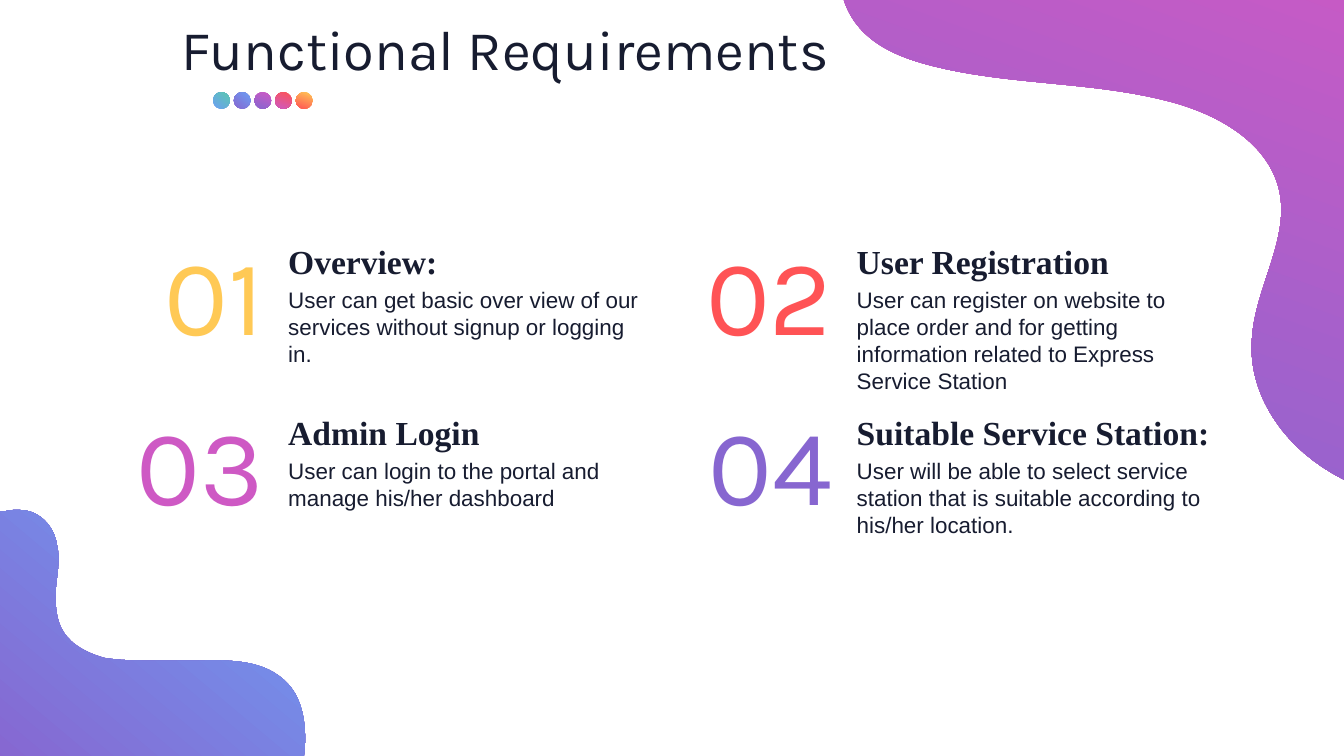
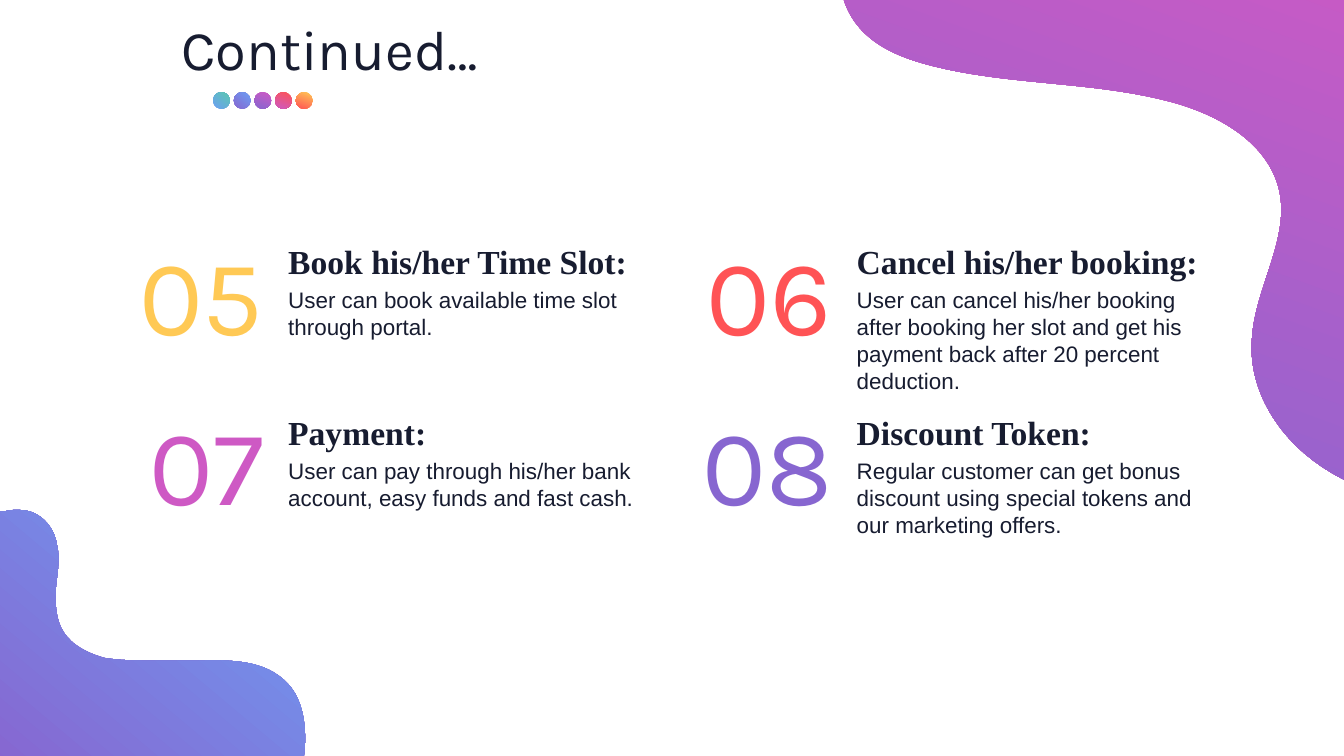
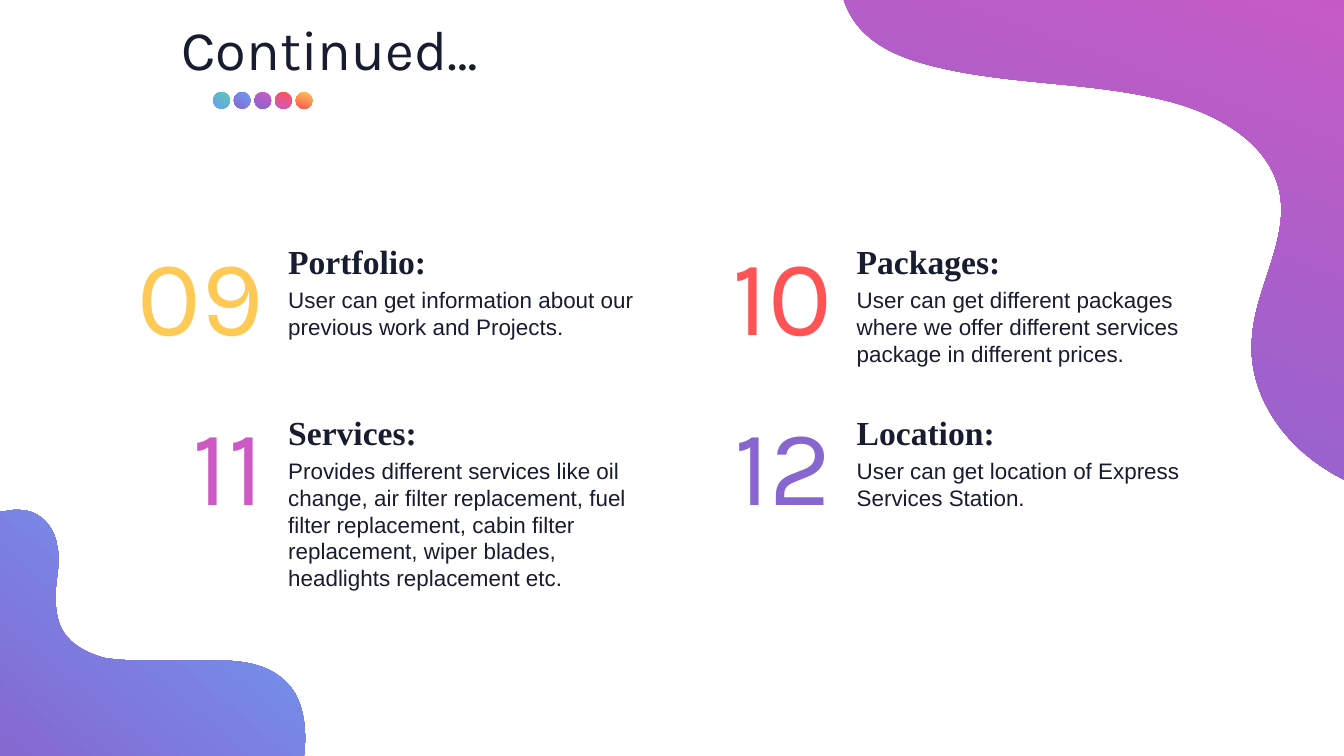
from math import ceil
from lxml.etree import SubElement
from pptx import Presentation
from pptx.dml.color import RGBColor
from pptx.enum.shapes import MSO_SHAPE as SHAPE
from pptx.enum.text import MSO_ANCHOR as ANCHOR, MSO_AUTO_SIZE as AUTO, PP_ALIGN as ALIGN
from pptx.oxml.ns import qn
from pptx.util import Inches, Pt

SLIDE_W, SLIDE_H = 20, 11.25
INK = "171C30"
GOLD, RED, PINK, PURPLE, BLUE, TEAL = "FFC955", "FF5355", "CE59C4", "8766D0", "6C9FF4", "5BC9B0"
WARM, UPWARD = 110, 310

DOT_GRADIENTS = [
    (BLUE, TEAL, UPWARD), (PURPLE, BLUE, UPWARD), (PINK, PURPLE, WARM),
    (RED, PINK, WARM), (GOLD, RED, WARM),
]
NUMBER_GRADIENTS = [
    (GOLD, RED, WARM), (RED, PINK, WARM), (PINK, PURPLE, WARM), (PURPLE, BLUE, UPWARD),
]

COLUMNS, COL_PITCH = 2, 8.46
NUMBER_LEFT, NUMBER_TOP, NUMBER_PITCH = 1.73, 3.34, 2.53
NUMBER_W, NUMBER_H = 2.29, 2.04
TEXT_LEFT, TEXT_TOP, TEXT_PITCH, TEXT_W = 4.19, 3.54, 2.54, 5.62
HEADING_H, BODY_DY = 0.71, 0.67
BODY_LINE_H, CHARS_PER_LINE, INSETS = 0.4, 35, 0.1
DOT_FIRST, DOT_LAST, DOT_TOP, DOT_SIZE = 3.17, 4.4, 1.37, 0.25

TOP_BLOB = {
    "start": (12.54, -0.83),
    "curves": [
        ((12.45, -0.44), (12.48, -0.02), (12.71, 0.31)),
        ((12.97, 0.69), (13.43, 0.87), (13.87, 0.98)),
        ((15.01, 1.27), (16.22, 1.21), (17.36, 1.5)),
        ((18.08, 1.68), (18.85, 2.09), (19.03, 2.81)),
        ((19.21, 3.54), (18.67, 4.28), (18.63, 5.05)),
        ((18.58, 5.72), (18.93, 6.35), (19.45, 6.78)),
        ((19.96, 7.2), (20.61, 7.43), (21.26, 7.5)),
        ((21.38, 7.51), (21.49, 7.51), (21.6, 7.51)),
        ((21.6, -0.83), (21.6, -0.83), (21.6, -0.83)),
    ],
    "gradient": (PINK, PURPLE, WARM),
}
BOTTOM_BLOB = {
    "start": (4.46, 11.48),
    "curves": [
        ((4.53, 11.32), (4.54, 11.14), (4.54, 10.98)),
        ((4.54, 10.65), (4.46, 10.29), (4.18, 10.08)),
        ((3.87, 9.83), (3.43, 9.82), (3.02, 9.83)),
        ((2.78, 9.83), (2.53, 9.83), (2.29, 9.83)),
        ((2.04, 9.83), (1.8, 9.83), (1.55, 9.79)),
        ((1.31, 9.72), (1.08, 9.61), (0.95, 9.41)),
        ((0.83, 9.23), (0.82, 8.98), (0.83, 8.77)),
        ((0.85, 8.54), (0.9, 8.33), (0.85, 8.12)),
        ((0.82, 7.89), (0.67, 7.68), (0.44, 7.61)),
        ((0.31, 7.58), (0.18, 7.58), (0.07, 7.61)),
        ((0.05, 7.61), (0.02, 7.61), (0, 7.61)),
        ((0, 11.48), (0, 11.48), (0, 11.48)),
    ],
    "gradient": (PURPLE, BLUE, UPWARD),
}

SLIDES = [
    ("Functional Requirements", [
        ("Overview:",
         "User can get basic over view of our services without signup or logging in."),
        ("User Registration",
         "User can register on website to place order and for getting information "
         "related to Express Service Station"),
        ("Admin Login", "User can login to the portal and manage his/her dashboard"),
        ("Suitable Service Station:",
         "User will be able to select service station that is suitable according to "
         "his/her location."),
    ]),
    ("Continued…", [
        ("Book his/her Time Slot:", "User can book available time slot through portal."),
        ("Cancel his/her booking:",
         "User can cancel his/her booking after booking her slot and get his payment "
         "back after 20 percent deduction."),
        ("Payment:", "User can pay through his/her bank account, easy funds and fast cash."),
        ("Discount Token:",
         "Regular customer can get bonus discount using special tokens and our "
         "marketing offers."),
    ]),
    ("Continued…", [
        ("Portfolio:", "User can get information about our previous work and Projects."),
        ("Packages:",
         "User can get different packages where we offer different services package "
         "in different prices."),
        ("Services:",
         "Provides different services like oil change, air filter replacement, fuel "
         "filter replacement, cabin filter replacement, wiper blades, headlights "
         "replacement etc."),
        ("Location:", "User can get location of Express Services Station."),
    ]),
]


def color(value):
    return RGBColor.from_string(value)


def inches(*values):
    return [Inches(v) for v in values]


def set_gradient(fill, gradient, start=0):
    first, last, clockwise = gradient
    fill.gradient()
    fill.gradient_angle = 360 - clockwise
    for stop, value, position in zip(fill.gradient_stops, (first, last), (start, 1)):
        stop.color.rgb = color(value)
        stop.position = position


def style_shape(sp, gradient):
    sp.shadow.inherit = False
    sp.line.fill.background()
    set_gradient(sp.fill, gradient)


def add_run(p, text, size, font, bold=False, gradient=None):
    r = p.add_run()
    r.text = text
    r.font.size, r.font.name, r.font.bold = Pt(size), font, bold
    if gradient:
        set_gradient(r.font.fill, gradient, start=0.01)
    else:
        r.font.color.rgb = color(INK)


def add_text(s, box, text, size, font, align=ALIGN.LEFT, before=0, **style):
    tf = s.shapes.add_textbox(*inches(*box)).text_frame
    tf.word_wrap = True
    tf.auto_size = AUTO.SHAPE_TO_FIT_TEXT
    p = tf.paragraphs[0]
    p.alignment = align
    p.space_before = Pt(before)
    add_run(p, text, size, font, **style)


def set_title(s, text):
    sp = s.shapes.title
    sp.left, sp.top, sp.width, sp.height = inches(2.6, 0.22, 14.79, 1.12)
    tf = sp.text_frame
    tf.auto_size = AUTO.NONE
    tf.vertical_anchor = ANCHOR.MIDDLE
    p = tf.paragraphs[0]
    p.alignment = ALIGN.LEFT
    p.line_spacing = 0.9
    add_run(p, text, 60, "Karla")


def add_dots(s):
    group = s.shapes.add_group_shape()
    pitch = (DOT_LAST - DOT_FIRST) / (len(DOT_GRADIENTS) - 1)
    for i, gradient in enumerate(DOT_GRADIENTS):
        box = inches(DOT_FIRST + i * pitch, DOT_TOP, DOT_SIZE, DOT_SIZE)
        style_shape(group.shapes.add_shape(SHAPE.OVAL, *box), gradient)
    return group


def move_to_layout(group, layout):
    for ph in list(layout.placeholders)[1:]:
        ph.element.getparent().remove(ph.element)
    layout.shapes.element.append(group.element)


def bend_outline(sp):
    lines = list(sp.element.iter(qn("a:lnTo")))
    for i in range(0, len(lines) - 2, 3):
        first, *others = lines[i:i + 3]
        first.tag = qn("a:cubicBezTo")
        for line in others:
            first.append(line[0])
            line.getparent().remove(line)


def add_blob(s, blob):
    builder = s.shapes.build_freeform(*inches(*blob["start"]))
    points = [inches(*point) for controls in blob["curves"] for point in controls]
    builder.add_line_segments(points + [inches(*blob["start"])], close=True)
    sp = builder.convert_to_shape()
    style_shape(sp, blob["gradient"])
    bend_outline(sp)


def add_requirement(s, cell, number, heading, body):
    row, col = divmod(cell, COLUMNS)
    shift = col * COL_PITCH
    text_x, text_y = TEXT_LEFT + shift, TEXT_TOP + row * TEXT_PITCH
    number_box = (NUMBER_LEFT + shift, NUMBER_TOP + row * NUMBER_PITCH, NUMBER_W, NUMBER_H)
    body_h = ceil(len(body) / CHARS_PER_LINE) * BODY_LINE_H + INSETS
    add_text(s, number_box, f"{number:02}", 115, "Karla",
             align=ALIGN.RIGHT, gradient=NUMBER_GRADIENTS[cell])
    add_text(s, (text_x, text_y, TEXT_W, HEADING_H), heading, 36,
             "Times New Roman", bold=True)
    add_text(s, (text_x, text_y + BODY_DY, TEXT_W, body_h), body, 24, "Arial", before=12)


def main():
    prs = Presentation()
    prs.slide_width, prs.slide_height = inches(SLIDE_W, SLIDE_H)
    title_only = prs.slide_layouts[5]
    number = 0
    for index, (title, requirements) in enumerate(SLIDES):
        s = prs.slides.add_slide(title_only)
        set_title(s, title)
        if index == 0:
            move_to_layout(add_dots(s), title_only)
        for cell, (heading, body) in enumerate(requirements):
            number += 1
            add_requirement(s, cell, number, heading, body)
        for blob in (TOP_BLOB, BOTTOM_BLOB):
            add_blob(s, blob)
    prs.save("out.pptx")


if __name__ == "__main__":
    main()
